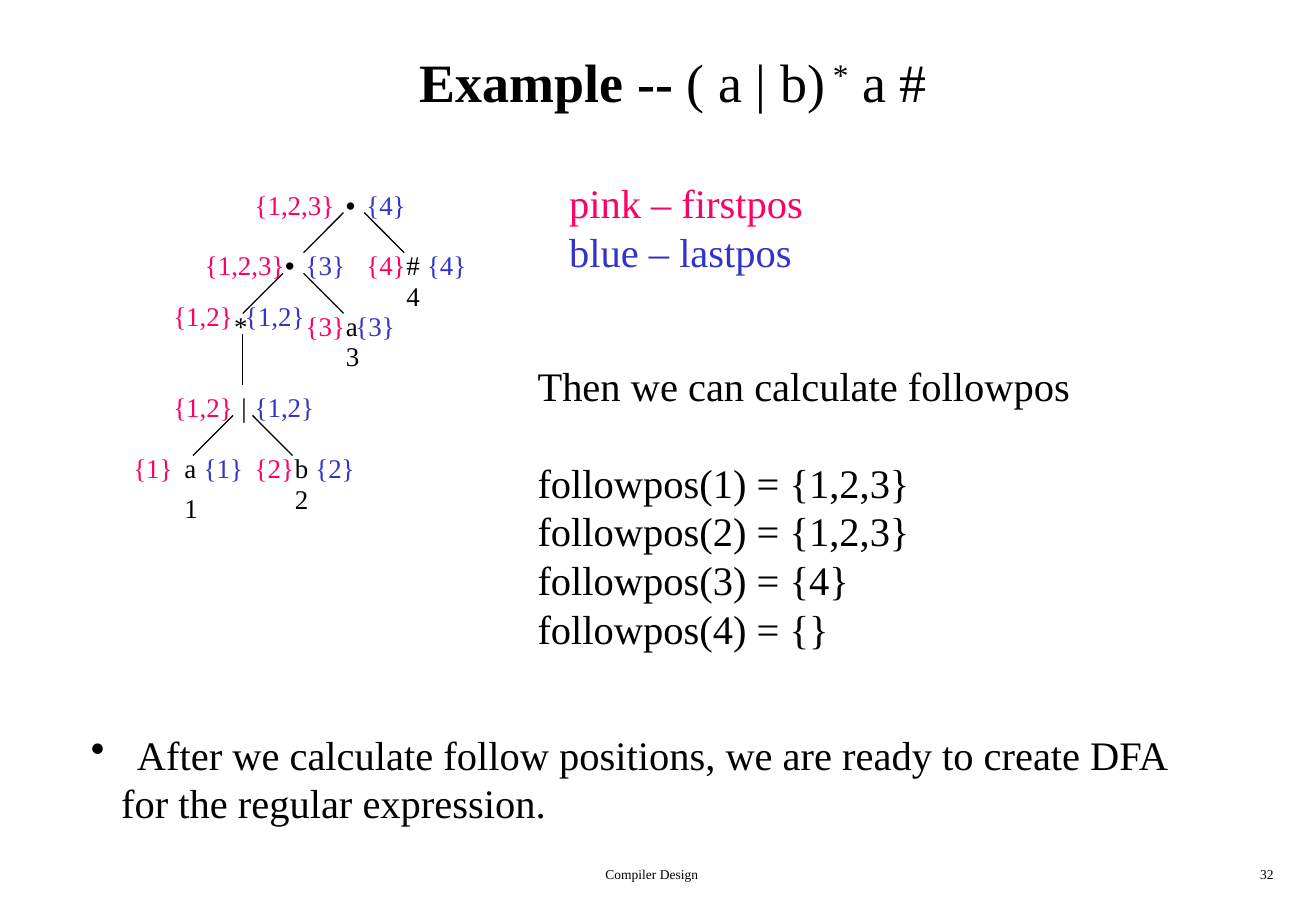
from dataclasses import dataclass

from lxml import etree
from pptx import Presentation
from pptx import util as u
from pptx.dml import color
from pptx.enum import shapes, text
from pptx.oxml import ns

COLORS = {"ink": "000000", "firstpos": "FF0066", "lastpos": "3333CC"}
SERIF = "Times New Roman"


@dataclass
class Line:
    words: str
    ink: str = "ink"
    before: float = 0
    margin: float = 0
    bullet: bool = False


@dataclass
class Node:
    symbol: str
    left: float
    top: float
    firstpos: str
    first_left: float
    lastpos: str
    last_left: float
    sets_top: float
    position: str = ""
    position_top: float = 0
    font: str = SERIF


@dataclass
class Edge:
    x: float
    y: float
    dx: float
    dy: float


NODES = [
    Node("•", 2.75, 1.5, "{1,2,3}", 2, "{4}", 2.92, 1.5, font="Arial"),
    Node("•", 2.25, 2, "{1,2,3}", 1.59, "{3}", 2.42, 2, font="Arial"),
    Node("#", 3.25, 2, "{4}", 2.92, "{4}", 3.42, 2, "4", 2.25),
    Node("*", 1.83, 2.5, "{1,2}", 1.33, "{1,2}", 1.92, 2.42),
    Node("a", 2.75, 2.5, "{3}", 2.42, "{3}", 2.83, 2.5, "3", 2.75),
    Node("|", 1.89, 3.17, "{1,2}", 1.33, "{1,2}", 2, 3.17),
    Node("a", 1.42, 3.67, "{1}", 1, "{1}", 1.58, 3.67, "1", 4),
    Node("b", 2.33, 3.67, "{2}", 2, "{2}", 2.5, 3.67, "2", 3.92),
]
EDGES = [
    Edge(2.83, 1.75, -0.33, 0.33), Edge(3, 1.75, 0.33, 0.33),
    Edge(2.33, 2.25, -0.33, 0.33), Edge(2.5, 2.25, 0.33, 0.33),
    Edge(2, 2.75, 0, 0.42),
    Edge(1.92, 3.42, -0.33, 0.33), Edge(2.08, 3.42, 0.33, 0.33),
]


def rgb(name: str) -> color.RGBColor:
    return color.RGBColor.from_string(COLORS[name])


def add_text(parent, left: float, top: float, width: float, height: float,
             lines: list[Line], size: float, font: str = SERIF,
             align=text.PP_ALIGN.LEFT) -> None:
    box = parent.add_textbox(*map(u.Inches, (left, top, width, height)))
    frame = box.text_frame
    frame.word_wrap = True
    for index, line in enumerate(lines):
        paragraph = frame.paragraphs[0] if index == 0 else frame.add_paragraph()
        paragraph.text = line.words
        paragraph.alignment = align
        paragraph.space_before = u.Pt(line.before)
        properties = paragraph._p.get_or_add_pPr()
        properties.set("marL", str(u.Inches(line.margin)))
        if line.bullet:
            properties.set("indent", str(-u.Inches(line.margin)))
            etree.SubElement(properties, ns.qn("a:buChar"), char="•")
        paragraph.font.size = u.Pt(size)
        paragraph.font.name = font
        paragraph.font.color.rgb = rgb(line.ink)


def add_edge(parent, edge: Edge) -> None:
    branch = parent.add_connector(
        shapes.MSO_CONNECTOR.STRAIGHT, u.Inches(edge.x), u.Inches(edge.y),
        u.Inches(edge.x + edge.dx), u.Inches(edge.y + edge.dy))
    branch.line.color.rgb = rgb("ink")
    branch.line.width = u.Pt(0.75)
    etree.SubElement(branch._element.spPr, ns.qn("a:effectLst"))


def add_node(parent, node: Node) -> None:
    def label(left: float, top: float, words: str, ink: str = "ink",
              font: str = SERIF) -> None:
        add_text(parent, left, top, 1, 0.37, [Line(words, ink)], 16, font)

    label(node.left, node.top, node.symbol, font=node.font)
    label(node.first_left, node.sets_top, node.firstpos, "firstpos")
    label(node.last_left, node.sets_top, node.lastpos, "lastpos")
    if node.position:
        label(node.left, node.position_top, node.position)


def add_title(parent) -> None:
    box = parent.add_textbox(*map(u.Inches, (0.42, 0.17, 10.25, 1)))
    frame = box.text_frame
    frame.word_wrap = True
    frame.vertical_anchor = text.MSO_ANCHOR.MIDDLE
    heading = frame.paragraphs[0]
    heading.alignment = text.PP_ALIGN.CENTER
    for words, bold, raised in (("Example -- ", True, False), ("( a | b)", False, False),
                                (" *", False, True), (" a #", False, False)):
        run = heading.add_run()
        run.text = words
        run.font.size = u.Pt(32)
        run.font.name = SERIF
        run.font.bold = bold
        run.font.color.rgb = rgb("ink")
        if raised:
            run.font._element.set("baseline", "30000")


def main() -> None:
    deck = Presentation()
    deck.slide_width, deck.slide_height = u.Inches(10.84), u.Inches(7.5)
    slide = deck.slides.add_slide(deck.slide_layouts[6])
    canvas = slide.shapes

    add_text(canvas, 3.34, 7.08, 4.06, 0.25, [Line("Compiler Design")], 8,
             align=text.PP_ALIGN.CENTER)
    add_text(canvas, 8.33, 7.08, 2.26, 0.25, [Line("32")], 8,
             align=text.PP_ALIGN.RIGHT)
    add_title(canvas)

    syntax_tree = canvas.add_group_shape().shapes
    for edge in EDGES:
        add_edge(syntax_tree, edge)
    for node in NODES:
        add_node(syntax_tree, node)

    add_text(canvas, 4.59, 1.42, 2.5, 0.9,
             [Line("pink – firstpos", "firstpos"), Line("blue – lastpos", "lastpos")], 24)
    followpos = ["{1,2,3}", "{1,2,3}", "{4}", "{}"]
    add_text(canvas, 4.33, 2.92, 5, 2.5,
             [Line("Then we can calculate followpos")]
             + [Line(f"followpos({place}) = {follow}", before=28.8 if place == 1 else 0)
                for place, follow in enumerate(followpos, 1)], 24)
    add_text(canvas, 0.65, 5.96, 9.5, 0.9,
             [Line("After we calculate follow positions, we are ready to create DFA",
                   margin=0.38, bullet=True),
              Line("for the regular expression.", margin=0.25)], 24)
    deck.save("out.pptx")


if __name__ == "__main__":
    main()
